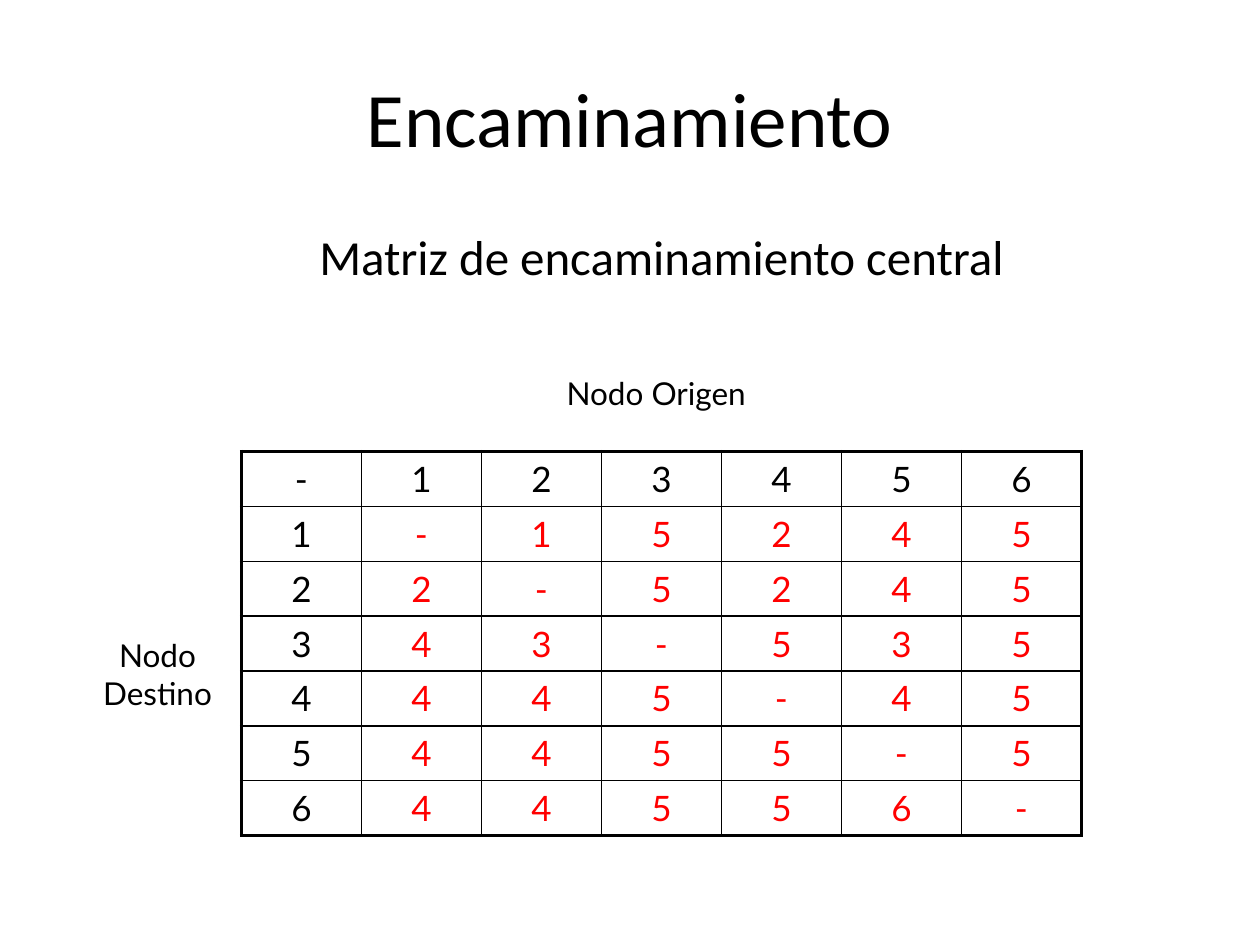
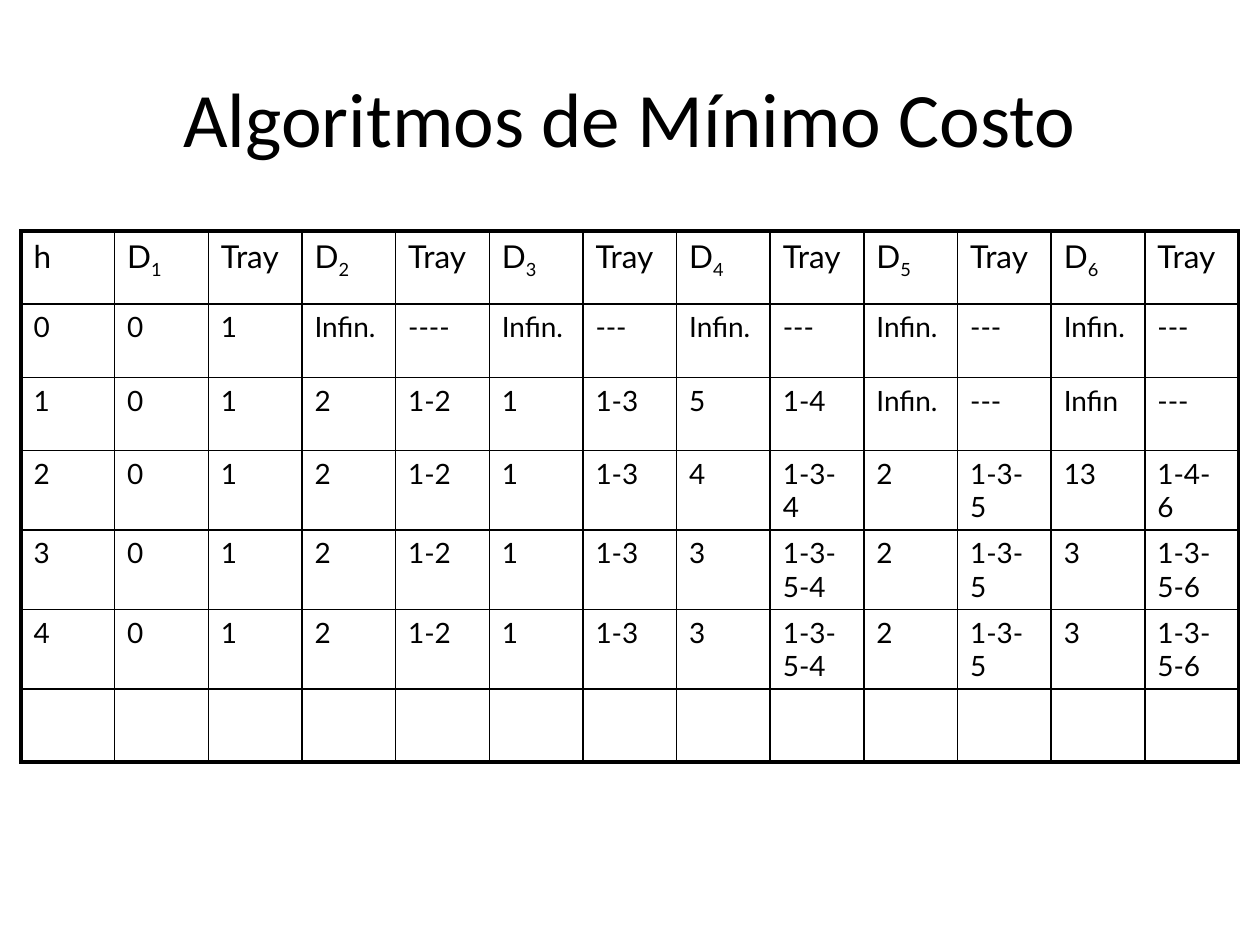
from dataclasses import dataclass

import pptx
import pptx.dml.color
import pptx.enum.text
import pptx.oxml
import pptx.oxml.ns
import pptx.slide
import pptx.util
from lxml import etree

Pt = pptx.util.Pt
ALIGN = pptx.enum.text.PP_ALIGN
BLACK, RED = "000000", "FF0000"
HEAD_FONT, BODY_FONT = "Calibri", "Lato"
OUTER, INNER = 2.25, 1
SUBSCRIPT = "-25000"


@dataclass
class Box:
    left: float
    top: float
    width: float
    height: float

    def lengths(self) -> list:
        return [Pt(v) for v in (self.left, self.top, self.width, self.height)]


@dataclass
class Style:
    size: float
    font: str = BODY_FONT
    color: str = BLACK
    align: ALIGN = ALIGN.CENTER


@dataclass
class Label:
    text: str
    box: Box


@dataclass
class Grid:
    box: Box
    rows: list
    header: Style
    side: Style
    inner: Style

    def style(self, i: int, j: int) -> Style:
        if i == 0:
            return self.header
        return self.side if j == 0 else self.inner


TITLE = Style(44, HEAD_FONT)
SUBTITLE = Style(28, HEAD_FONT)
LABEL = Style(18)
TITLE_BOX = Box(36, 21.6, 648, 90)
BODY_BOX = Box(36, 126, 648, 356.4)


def rgb(color: str) -> pptx.dml.color.RGBColor:
    return pptx.dml.color.RGBColor.from_string(color)


def add_run(p, text: str, style: Style) -> None:
    r = p.add_run()
    r.text = text
    for name, value in {"size": Pt(style.size), "name": style.font}.items():
        setattr(r.font, name, value)
    r.font.color.rgb = rgb(style.color)
    return r


def write(tf, text: str, style: Style) -> None:
    p = tf.paragraphs[0]
    p.alignment = style.align
    base, _, sub = text.partition("_")
    if base:
        add_run(p, base, style)
    if sub:
        add_run(p, sub, style)._r.get_or_add_rPr().set("baseline", SUBSCRIPT)


def place(sp, box: Box) -> None:
    for name, value in zip(("left", "top", "width", "height"), box.lengths()):
        setattr(sp, name, value)


def add_slide(layout: int, title: str) -> pptx.slide.Slide:
    s = prs.slides.add_slide(prs.slide_layouts[layout])
    sp = s.shapes.title
    place(sp, TITLE_BOX)
    sp.text_frame.vertical_anchor = pptx.enum.text.MSO_ANCHOR.MIDDLE
    write(sp.text_frame, title, TITLE)
    return s


def fill_body(s: pptx.slide.Slide, text: str) -> None:
    sp = s.placeholders[1]
    place(sp, BODY_BOX)
    p = sp.text_frame.paragraphs[0]
    p.level = 1
    write(sp.text_frame, text, SUBTITLE)
    etree.SubElement(p._p.get_or_add_pPr(), pptx.oxml.ns.qn("a:buNone"))


def add_label(s: pptx.slide.Slide, label: Label) -> None:
    tf = s.shapes.add_textbox(*label.box.lengths()).text_frame
    tf.word_wrap = True
    tf.auto_size = pptx.enum.text.MSO_AUTO_SIZE.SHAPE_TO_FIT_TEXT
    write(tf, label.text, LABEL)


def set_borders(cell, outer: dict) -> None:
    tcPr = cell._tc.get_or_add_tcPr()
    for side, is_outer in outer.items():
        width = Pt(OUTER if is_outer else INNER)
        tcPr.append(pptx.oxml.parse_xml(
            f'<a:ln{side} {pptx.oxml.ns.nsdecls("a")} w="{width}"><a:solidFill>'
            f'<a:srgbClr val="{BLACK}"/></a:solidFill></a:ln{side}>'))


def add_grid(s: pptx.slide.Slide, grid: Grid) -> None:
    n_rows, n_cols = len(grid.rows), len(grid.rows[0])
    table = s.shapes.add_table(n_rows, n_cols, *grid.box.lengths()).table
    for name in ("first_row", "horz_banding"):
        setattr(table, name, False)
    for i, row in enumerate(grid.rows):
        for j, text in enumerate(row):
            cell = table.cell(i, j)
            write(cell.text_frame, text, grid.style(i, j))
            set_borders(cell, {"L": j == 0, "R": j == n_cols - 1,
                               "T": i == 0, "B": i == n_rows - 1})
            cell.fill.background()


ROUTING = Grid(
    Box(138, 258, 480, 218.4),
    [list(row) for row in ("-123456", "1-15245", "22-5245", "343-535",
                           "4445-45", "54455-5", "644556-")],
    Style(20), Style(20), Style(20, color=RED))

NODES = range(1, 7)
COST_ROWS = [
    "0 0 1 Infin. ---- Infin. --- Infin. --- Infin. --- Infin. ---",
    "1 0 1 2 1-2 1 1-3 5 1-4 Infin. --- Infin ---",
    "2 0 1 2 1-2 1 1-3 4 1-3-4 2 1-3-5 13 1-4-6",
    "3 0 1 2 1-2 1 1-3 3 1-3-5-4 2 1-3-5 3 1-3-5-6",
    "4 0 1 2 1-2 1 1-3 3 1-3-5-4 2 1-3-5 3 1-3-5-6",
]
COST_HEADER = ["h"] + [t for n in NODES for t in (f"D_{n}", "Tray")]
COST_CELL = Style(16, align=ALIGN.LEFT)
COSTS = Grid(
    Box(12, 132, 696, 292.6),
    [COST_HEADER, *(row.split() for row in COST_ROWS), [""] * len(COST_HEADER)],
    Style(18, align=ALIGN.LEFT), COST_CELL, COST_CELL)

LABELS = [
    Label("Nodo Origen", Box(270, 210, 210, 28.8)),
    Label("Nodo Destino", Box(30, 360, 120, 50.4)),
]

prs = pptx.Presentation()
prs.slide_width, prs.slide_height = Pt(720), Pt(540)

s = add_slide(1, "Encaminamiento")
fill_body(s, "Matriz de encaminamiento central")
add_grid(s, ROUTING)
for label in LABELS:
    add_label(s, label)

s = add_slide(5, "Algoritmos de Mínimo Costo")
add_grid(s, COSTS)

prs.save("out.pptx")
